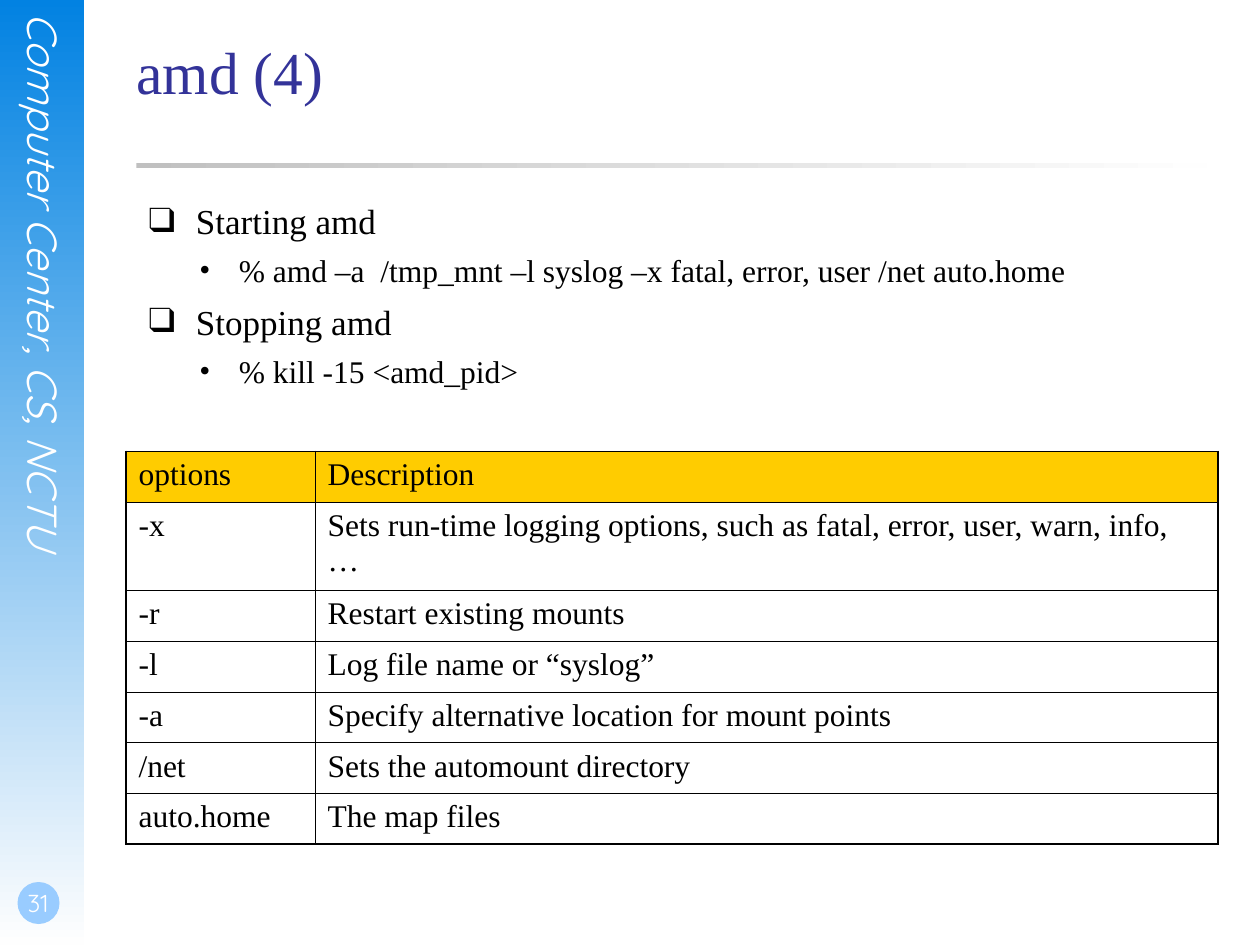
"""Build the amd (4) slide: sidebar, title, command bullets and options table."""
from lxml import etree
from pptx import Presentation
from pptx import util as u
from pptx.dml import color
from pptx.enum import shapes, text
from pptx.oxml import ns

SERIF, ROUND = "Times New Roman", "Quicksand"


def rgb(value):
    return color.RGBColor.from_string(value)


def write(frame, words, size=18, font=SERIF, ink="000000", italic=False,
          align=text.PP_ALIGN.LEFT, before=0, bullet=None, margin=0, hang=0):
    first = not frame.paragraphs[0].runs
    para = frame.paragraphs[0] if first else frame.add_paragraph()
    para.alignment = align
    para.space_before = u.Pt(0 if first else before)
    if bullet:
        props = para._p.get_or_add_pPr()
        props.set("marL", str(u.Pt(margin)))
        props.set("indent", str(-u.Pt(hang)))
        etree.SubElement(props, ns.qn("a:buFont")).set("typeface", font)
        etree.SubElement(props, ns.qn("a:buChar")).set("char", bullet)
    span = para.add_run()
    span.text = words
    span.font.size = u.Pt(size)
    span.font.name = font
    span.font.italic = italic
    span.font.color.rgb = rgb(ink)


deck = Presentation()
deck.slide_width, deck.slide_height = u.Pt(720), u.Pt(540)
page = deck.slides.add_slide(deck.slide_layouts[6])

kinds = shapes.MSO_SHAPE
for kind, place, colours, angle in [
    (kinds.RECTANGLE, (0, 0, 48, 540), ("0282E2", "FEFEFE"), 270),
    (kinds.OVAL, (10, 504, 24, 24), ("99CCFF",), None),
    (kinds.RECTANGLE, (78, 93, 612, 3), ("C0C0C0", "FEFEFE"), 0),
]:
    shape = page.shapes.add_shape(kind, *map(u.Pt, place))
    shape.shadow.inherit = False
    shape.line.fill.background()
    if angle is None:
        shape.fill.solid()
        shape.fill.fore_color.rgb = rgb(colours[0])
    else:
        shape.fill.gradient()
        shape.fill.gradient_angle = angle
        for stop, colour in zip(shape.fill.gradient_stops, colours):
            stop.color.rgb = rgb(colour)

frames = []
for place in [(10.8, 7.2, 28.8, 368), (0, 492, 42, 36), (78, 20, 612, 90), (78, 114, 612, 336)]:
    box = page.shapes.add_textbox(*map(u.Pt, place))
    frame = box.text_frame
    frame.word_wrap = True
    frame.margin_left = frame.margin_right = frame.margin_top = frame.margin_bottom = 0
    frames.append(frame)
sidebar, number, title, body = frames

sidebar._txBody.bodyPr.set("vert", "eaVert")
write(sidebar, "Computer Center, CS, NCTU", size=24, font=ROUND, ink="FFFFFF",
      italic=True, align=text.PP_ALIGN.CENTER)
number.vertical_anchor = text.MSO_ANCHOR.BOTTOM
number.margin_left, number.margin_bottom = u.Pt(1.5), u.Pt(3.6)
write(number, "31", size=14, font=ROUND, ink="FFFFFF", align=text.PP_ALIGN.CENTER)
write(title, "amd (4)", size=34, ink="333399")

for heading, command in [
    ("Starting amd", "% amd –a  /tmp_mnt –l syslog –x fatal, error, user /net auto.home"),
    ("Stopping amd", "% kill -15 <amd_pid>"),
]:
    write(body, heading, size=20, before=6.2, bullet="❑", margin=34, hang=27)
    write(body, command, before=5.6, bullet="•", margin=58.5, hang=22.5)

options = [
    ("options", "Description"),
    ("-x", "Sets run-time logging options, such as fatal, error, user, warn, info, …"),
    ("-r", "Restart existing mounts"),
    ("-l", "Log file name or “syslog”"),
    ("-a", "Specify alternative location for mount points"),
    ("/net", "Sets the automount directory"),
    ("auto.home", "The map files"),
]
heights = [29, 50.4] + [29] * 5
table = page.shapes.add_table(len(options), 2, u.Pt(72), u.Pt(258),
                              u.Pt(624), u.Pt(sum(heights))).table
table.first_row = table.horz_banding = False
for column, width in zip(table.columns, (108, 516)):
    column.width = u.Pt(width)

for r, entries in enumerate(options):
    table.rows[r].height = u.Pt(heights[r])
    for c, words in enumerate(entries):
        cell = table.cell(r, c)
        write(cell.text_frame, words)
        if r == 0:
            cell.fill.solid()
            cell.fill.fore_color.rgb = rgb("FFCC00")
        else:
            cell.fill.background()
        outer = {"L": c == 0, "R": c == 1, "T": r == 0, "B": r == len(options) - 1}
        for index, (side, is_outer) in enumerate(outer.items()):
            border = etree.Element(ns.qn(f"a:ln{side}"))
            border.set("w", str(u.Pt(1.08 if is_outer else 0.45)))
            fill = etree.SubElement(border, ns.qn("a:solidFill"))
            etree.SubElement(fill, ns.qn("a:srgbClr")).set("val", "000000")
            cell._tc.get_or_add_tcPr().insert(index, border)

deck.save("out.pptx")
